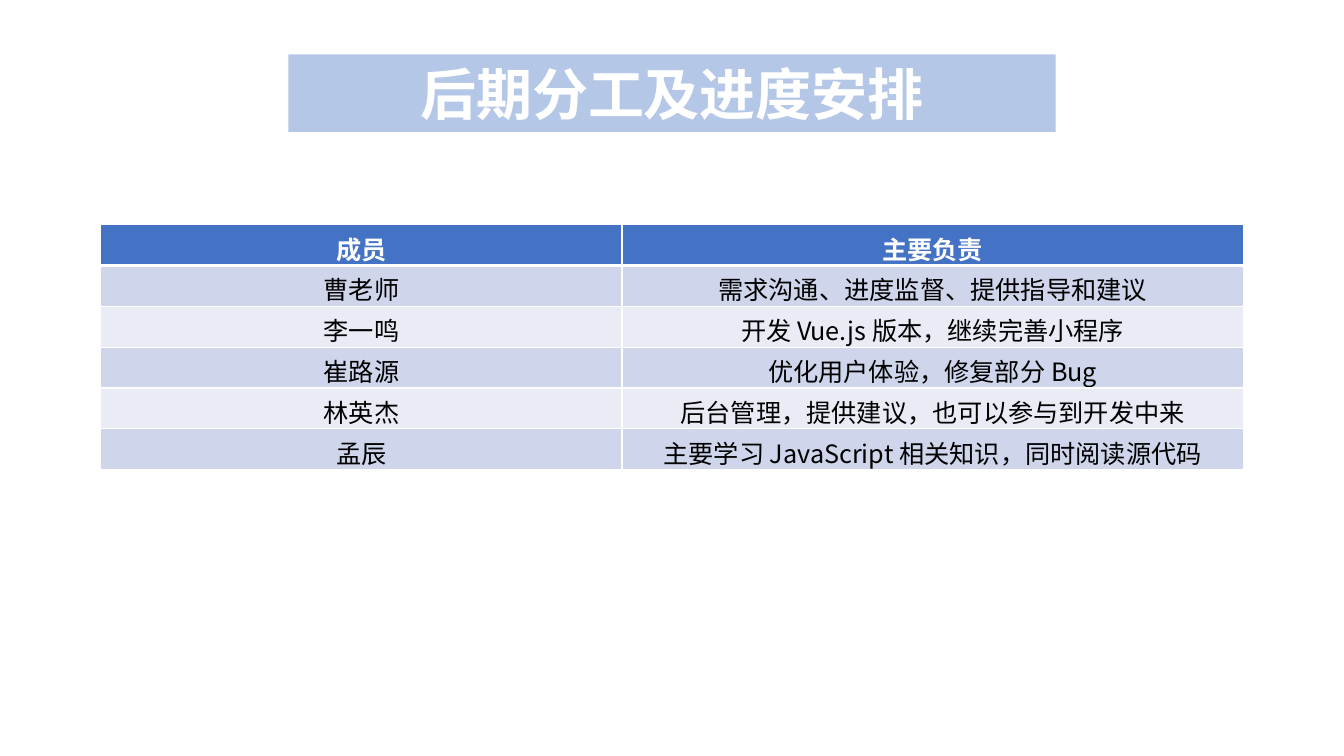
"""Builds the slide on the division of work and schedule."""
from dataclasses import dataclass

from lxml import etree
from pptx import Presentation
from pptx import util as u
from pptx.dml.color import RGBColor
from pptx.enum import shapes, text
from pptx.oxml.ns import qn


@dataclass(frozen=True)
class Theme:
    """Colours, font and type sizes of the slide."""
    font: str = "Noto Sans CJK SC"
    white: str = "FFFFFF"
    black: str = "000000"
    banner: str = "B4C7E7"
    header: str = "4472C4"
    bands: tuple = ("CFD5EA", "E9EBF5")
    title_size: int = 40
    table_size: int = 18
    thin: int = 1
    thick: int = 3


THEME = Theme()
DUTIES = [
    ("成员", "主要负责"),
    ("曹老师", "需求沟通、进度监督、提供指导和建议"),
    ("李一鸣", "开发 Vue.js 版本，继续完善小程序"),
    ("崔路源", "优化用户体验，修复部分 Bug"),
    ("林英杰", "后台管理，提供建议，也可以参与到开发中来"),
    ("孟辰", "主要学习 JavaScript 相关知识，同时阅读源代码"),
]
COLUMN_WIDTHS = (5.17, 6.16)
ROW_HEIGHT = 0.405


def paint(fill, colour):
    """Give a fill one solid colour."""
    fill.solid()
    fill.fore_color.rgb = RGBColor.from_string(colour)


def write(frame, words, size, colour, bold):
    """Write one centred run into a text frame."""
    paragraph = frame.paragraphs[0]
    paragraph.alignment = text.PP_ALIGN.CENTER
    run = paragraph.add_run()
    run.text = words
    run.font.name = THEME.font
    run.font.size = u.Pt(size)
    run.font.bold = bold
    run.font.color.rgb = RGBColor.from_string(colour)
    east_asian = etree.Element(qn("a:ea"), typeface=THEME.font)
    run.font._element.find(qn("a:latin")).addnext(east_asian)


def add_banner(slide, words):
    """Add the coloured title banner."""
    banner = slide.shapes.add_shape(
        shapes.MSO_SHAPE.RECTANGLE,
        u.Inches(2.86), u.Inches(0.54), u.Inches(7.61), u.Inches(0.77))
    banner.shadow.inherit = False
    paint(banner.fill, THEME.banner)
    banner.line.fill.background()
    frame = banner.text_frame
    frame.word_wrap = True
    frame.auto_size = text.MSO_AUTO_SIZE.SHAPE_TO_FIT_TEXT
    write(frame, words, THEME.title_size, THEME.white, True)


def add_borders(cell, top, bottom):
    """Draw white borders around a cell, with the given top and bottom widths."""
    properties = cell._tc.get_or_add_tcPr()
    widths = {"L": THEME.thin, "R": THEME.thin, "T": top, "B": bottom}
    for side, width in widths.items():
        border = etree.SubElement(
            properties, qn(f"a:ln{side}"), w=str(u.Pt(width)))
        solid = etree.SubElement(border, qn("a:solidFill"))
        etree.SubElement(solid, qn("a:srgbClr"), val=THEME.white)


def add_duty_table(slide, duties):
    """Add the banded table of members and their duties."""
    table = slide.shapes.add_table(
        len(duties), len(COLUMN_WIDTHS), u.Inches(1), u.Inches(2.23),
        u.Inches(sum(COLUMN_WIDTHS)), u.Inches(ROW_HEIGHT * len(duties))).table
    for column, width in zip(table.columns, COLUMN_WIDTHS):
        column.width = u.Inches(width)
    for index, duty in enumerate(duties):
        is_header = index == 0
        band = THEME.header if is_header else THEME.bands[(index - 1) % 2]
        ink = THEME.white if is_header else THEME.black
        top = THEME.thick if index == 1 else THEME.thin
        bottom = THEME.thick if is_header else THEME.thin
        for cell, words in zip(table.rows[index].cells, duty):
            add_borders(cell, top, bottom)
            paint(cell.fill, band)
            write(cell.text_frame, words, THEME.table_size, ink, is_header)


def main():
    """Build and save the slide."""
    deck = Presentation()
    deck.slide_width, deck.slide_height = u.Inches(13.33), u.Inches(7.5)
    slide = deck.slides.add_slide(deck.slide_layouts[6])
    add_banner(slide, "后期分工及进度安排")
    add_duty_table(slide, DUTIES)
    deck.save("out.pptx")


if __name__ == "__main__":
    main()
